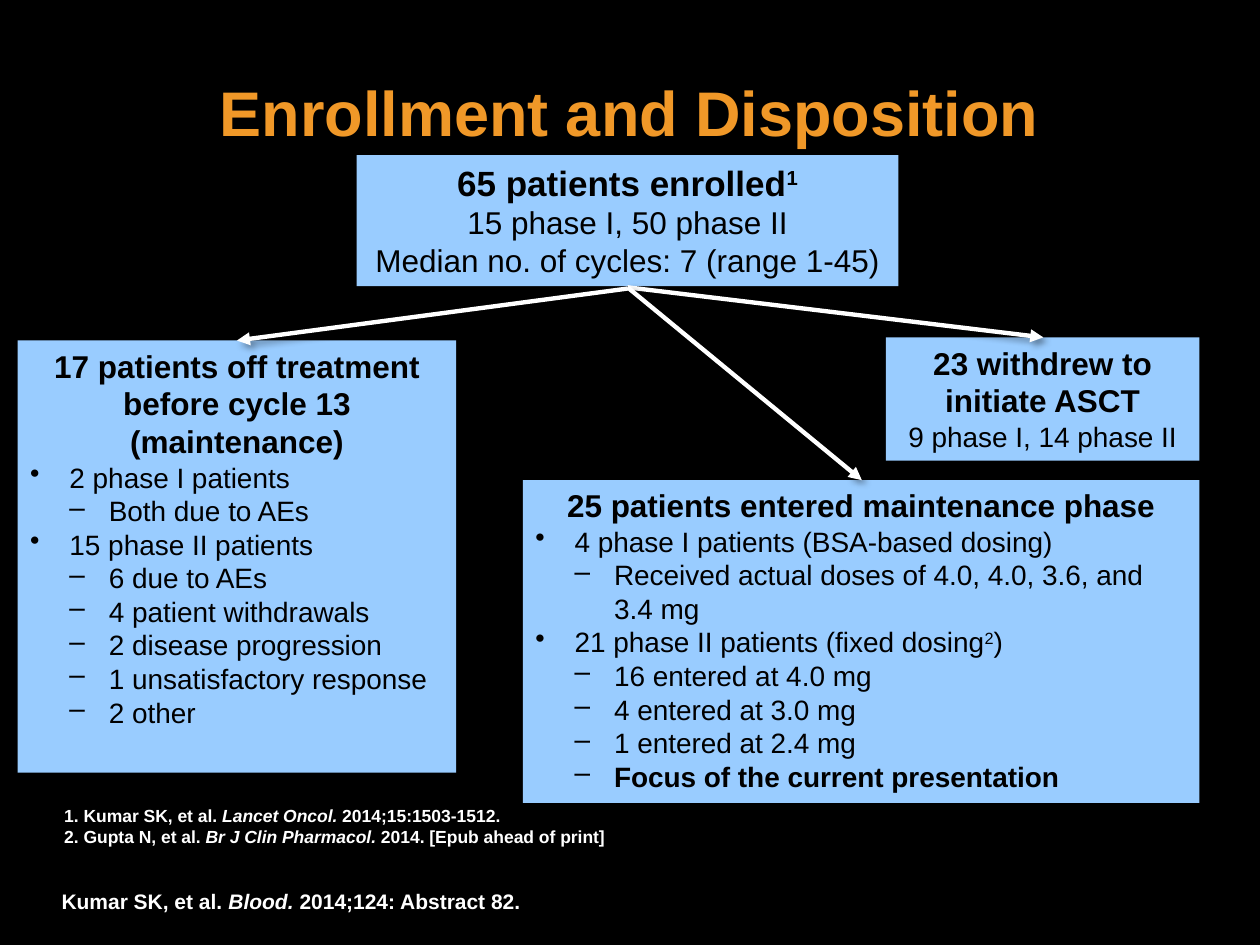
"""Build the enrollment and disposition flow slide."""
from dataclasses import dataclass
from lxml import etree
from pptx import Presentation
from pptx.dml.color import RGBColor
from pptx.enum.shapes import MSO_CONNECTOR, MSO_SHAPE
from pptx.enum.text import MSO_ANCHOR, MSO_AUTO_SIZE, PP_ALIGN
from pptx.oxml import parse_xml
from pptx.oxml.ns import qn
from pptx.util import Pt

CENTER, LEFT = PP_ALIGN.CENTER, PP_ALIGN.LEFT
TOP, BOTTOM = MSO_ANCHOR.TOP, MSO_ANCHOR.BOTTOM
FIXED = MSO_AUTO_SIZE.NONE
RECTANGLE, STRAIGHT = MSO_SHAPE.RECTANGLE, MSO_CONNECTOR.STRAIGHT
INDENT = 22.5
BULLETS = {"bullet": ("•", 1), "dash": ("–", 2)}
SHADOW = (
    '<a:effectLst xmlns:a="http://schemas.openxmlformats.org/drawingml/2006/main">'
    '<a:outerShdw blurRad="50800" dist="38100" dir="2700000" algn="tl" rotWithShape="0">'
    '<a:srgbClr val="000000"><a:alpha val="40000"/></a:srgbClr>'
    "</a:outerShdw></a:effectLst>"
)


@dataclass(frozen=True)
class Theme:
    font: str = "Arial"
    background: RGBColor = RGBColor(0, 0, 0)
    title: RGBColor = RGBColor(0xF0, 0x98, 0x28)
    panel: RGBColor = RGBColor(0x99, 0xCC, 0xFF)
    dark: RGBColor = RGBColor(0, 0, 0)
    light: RGBColor = RGBColor(255, 255, 255)
    title_size: int = 36
    lead_size: int = 20
    head_size: int = 18
    list_size: int = 16
    source_size: int = 12
    reference_size: int = 10


theme = Theme()


def place(shape, left, top, width, height):
    shape.left, shape.top = Pt(left), Pt(top)
    shape.width, shape.height = Pt(width), Pt(height)


def write(frame, paragraphs, color):
    """Fill a frame from (kind, size, runs); run flags are b, i and ^."""
    frame.auto_size = FIXED
    for index, (kind, size, runs) in enumerate(paragraphs):
        para = frame.add_paragraph() if index else frame.paragraphs[0]
        para.alignment = CENTER if kind == "center" else LEFT
        para.space_before = Pt(0)
        properties = para._p.get_or_add_pPr()
        mark, level = BULLETS.get(kind, ("", 0))
        properties.set("marL", str(Pt(INDENT * level)))
        properties.set("indent", str(Pt(-INDENT if mark else 0)))
        if mark:
            etree.SubElement(properties, qn("a:buChar")).set("char", mark)
        else:
            etree.SubElement(properties, qn("a:buNone"))
        for text, flags in runs:
            span = para.add_run()
            span.text = text
            span.font.name, span.font.size = theme.font, Pt(size)
            span.font.color.rgb = color
            span.font.bold, span.font.italic = "b" in flags, "i" in flags
            if "^" in flags:
                span._r.get_or_add_rPr().set("baseline", "30000")


deck = Presentation()
deck.slide_width, deck.slide_height = Pt(720), Pt(540)
page = deck.slides.add_slide(deck.slide_layouts[1])
page.background.fill.solid()
page.background.fill.fore_color.rgb = theme.background

title = page.shapes.title
place(title, 36, 8, 647.3, 80.6)
write(title.text_frame, [("center", theme.title_size, [("Enrollment and Disposition", "b")])], theme.title)
title.text_frame.vertical_anchor = BOTTOM
title.text_frame.paragraphs[0].line_spacing = 0.85

references = page.placeholders[1]
place(references, 36.7, 457.2, 398.2, 42.5)
write(references.text_frame, [
    ("plain", theme.reference_size, [
        ("1. Kumar SK, et al. ", "b"), ("Lancet Oncol. ", "bi"), ("2014;15:1503-1512.", "b")]),
    ("plain", theme.reference_size, [
        ("2. Gupta N, et al. ", "b"), ("Br J Clin Pharmacol. ", "bi"), ("2014. [Epub ahead of print]", "b")]),
], theme.light)
for frame in (title.text_frame, references.text_frame):
    frame.margin_left = frame.margin_right = frame.margin_top = frame.margin_bottom = Pt(3)
references.text_frame.margin_left = 0

head, item = theme.head_size, theme.list_size
panels = [
    ((203.8, 88.6, 309.6, 74.9), False, [
        ("center", theme.lead_size, [("65 patients enrolled", "b"), ("1", "b^")]),
        ("center", head, [("15 phase I, 50 phase II", "")]),
        ("center", head, [("Median no. of cycles: 7 (range 1-45)", "")]),
    ]),
    ((10.1, 194.6, 250.6, 247), True, [
        ("center", head, [("17 patients off treatment before cycle 13 (maintenance)", "b")]),
        ("bullet", item, [("2 phase I patients", "")]),
        ("dash", item, [("Both due to AEs", "")]),
        ("bullet", item, [("15 phase II patients", "")]),
        ("dash", item, [("6 due to AEs", "")]),
        ("dash", item, [("4 patient withdrawals", "")]),
        ("dash", item, [("2 disease progression", "")]),
        ("dash", item, [("1 unsatisfactory response", "")]),
        ("dash", item, [("2 other", "")]),
    ]),
    ((506.2, 192.8, 179.2, 70.4), True, [
        ("center", head, [("23 withdrew to initiate ASCT", "b")]),
        ("center", item, [("9 phase I, 14 phase II", "")]),
    ]),
    ((298.8, 274.4, 386.6, 184.4), True, [
        ("center", head, [("25 patients entered maintenance phase", "b")]),
        ("bullet", item, [("4 phase I patients (BSA-based dosing)", "")]),
        ("dash", item, [("Received actual doses of 4.0, 4.0, 3.6, and 3.4 mg", "")]),
        ("bullet", item, [("21 phase II patients (fixed dosing", ""), ("2", "^"), (")", "")]),
        ("dash", item, [("16 entered at 4.0 mg", "")]),
        ("dash", item, [("4 entered at 3.0 mg", "")]),
        ("dash", item, [("1 entered at 2.4 mg", "")]),
        ("dash", item, [("Focus of the current presentation", "b")]),
    ]),
]
for bounds, wraps, paragraphs in panels:
    panel = page.shapes.add_shape(RECTANGLE, *map(Pt, bounds))
    panel.shadow.inherit = False
    panel.fill.solid()
    panel.fill.fore_color.rgb = theme.panel
    panel.line.fill.background()
    write(panel.text_frame, paragraphs, theme.dark)
    panel.text_frame.word_wrap = wraps
    panel.text_frame.vertical_anchor = TOP

for start_y, end_x, end_y in [(164.9, 135.4, 194.6), (164.2, 596.2, 192.8), (164.2, 492.5, 274.4)]:
    arrow = page.shapes.add_connector(STRAIGHT, Pt(358.6), Pt(start_y), Pt(end_x), Pt(end_y))
    arrow.line.color.rgb = theme.light
    arrow.line.width = Pt(2.5)
    etree.SubElement(arrow.line._get_or_add_ln(), qn("a:tailEnd")).set("type", "triangle")
    arrow._element.spPr.append(parse_xml(SHADOW))

source = page.shapes.add_textbox(Pt(28.1), Pt(504), Pt(279.4), Pt(21.6))
write(source.text_frame, [("plain", theme.source_size, [
    ("Kumar SK, et al. ", "b"), ("Blood. ", "bi"), ("2014;124: Abstract 82.", "b")])], theme.light)
source.text_frame.word_wrap = False

deck.save("out.pptx")
